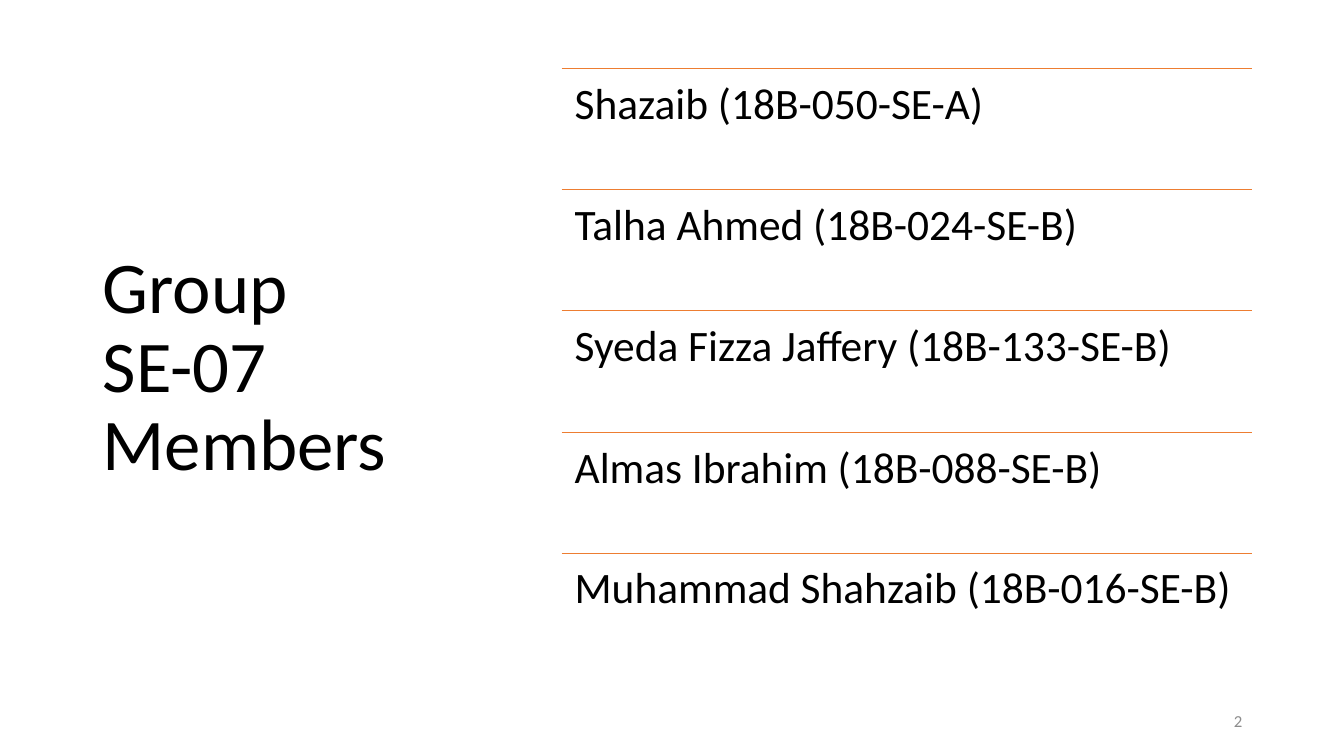
from lxml.etree import SubElement
from pptx import Presentation
from pptx.dml.color import RGBColor
from pptx.enum.shapes import MSO_CONNECTOR
from pptx.enum.text import MSO_ANCHOR, PP_ALIGN
from pptx.oxml.ns import qn
from pptx.util import Pt

EMU_PER_PX = 9144
COLORS = {"text": "000000", "rule": "ED7D31", "number": "8C8C8C"}
MEMBERS = [
    "Shazaib (18B-050-SE-A)",
    "Talha Ahmed (18B-024-SE-B)",
    "Syeda Fizza Jaffery (18B-133-SE-B)",
    "Almas Ibrahim (18B-088-SE-B)",
    "Muhammad Shahzaib (18B-016-SE-B)",
]
LIST_LEFT, LIST_TOP, LIST_WIDTH, LIST_HEIGHT = 557, 68, 685, 601


def px(length):
    return length * EMU_PER_PX


class SlideBuilder:
    font = "Calibri"

    def __init__(self, deck):
        self.page = deck.slides.add_slide(deck.slide_layouts[6])

    def text(self, bounds, lines, size, color="text", anchor=MSO_ANCHOR.TOP,
             align=PP_ALIGN.LEFT, spacing=1.0, inset=None):
        box = self.page.shapes.add_textbox(*map(px, bounds))
        frame = box.text_frame
        frame.word_wrap = True
        frame.vertical_anchor = anchor
        if inset is not None:
            frame.margin_left = frame.margin_right = px(inset)
            frame.margin_top = frame.margin_bottom = px(inset)
        para = frame.paragraphs[0]
        para.alignment = align
        para.line_spacing = spacing
        for index, line in enumerate(lines):
            if index:
                para.add_line_break()
            span = para.add_run()
            span.text = line
            span.font.name = self.font
            span.font.size = Pt(size)
            span.font.color.rgb = RGBColor.from_string(COLORS[color])

    def rule(self, left, top, width):
        line = self.page.shapes.add_connector(
            MSO_CONNECTOR.STRAIGHT, px(left), px(top), px(left + width), px(top))
        line.line.color.rgb = RGBColor.from_string(COLORS["rule"])
        line.line.width = Pt(1)
        SubElement(line.element.spPr, qn("a:effectLst"))


def main():
    deck = Presentation()
    deck.slide_width, deck.slide_height = px(1333), px(750)
    slide = SlideBuilder(deck)
    slide.text((92, 61, 369, 609), ["Group", "SE-07", "Members"], 52,
               anchor=MSO_ANCHOR.MIDDLE, spacing=0.9)
    for index, member in enumerate(MEMBERS):
        top = LIST_TOP + round(index * LIST_HEIGHT / len(MEMBERS))
        slide.rule(LIST_LEFT, top, LIST_WIDTH)
        slide.text((LIST_LEFT, top, LIST_WIDTH, LIST_HEIGHT // len(MEMBERS)),
                   [member], 31, spacing=0.9, inset=13)
    slide.text((942, 695, 300, 40), ["2"], 12, color="number",
               anchor=MSO_ANCHOR.MIDDLE, align=PP_ALIGN.RIGHT)
    deck.save("out.pptx")


if __name__ == "__main__":
    main()
